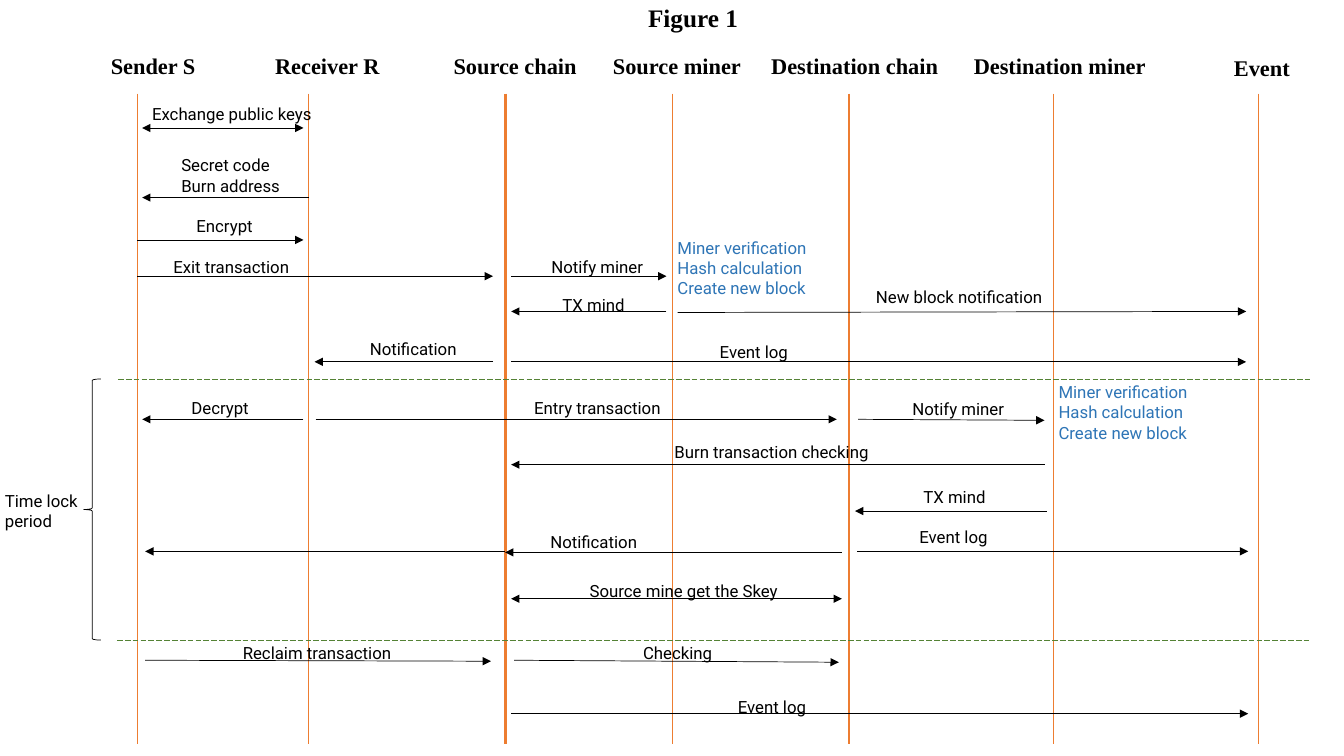
from lxml import etree
from pptx import Presentation
from pptx import util as u
from pptx.dml.color import RGBColor
from pptx.enum import dml, shapes, text
from pptx.oxml.ns import qn

PX = 9144  # EMU per px, 100 px to the inch
BLACK, BLUE, ORANGE, GREEN = "000000", "2E75B6", "ED7D31", "548235"

deck = Presentation()
deck.slide_width, deck.slide_height = 1333 * PX, 750 * PX
page = deck.slides.add_slide(deck.slide_layouts[6])


def add_line(x1, y1, x2, y2, color, weight=0.5, heads=()):
    line = page.shapes.add_connector(
        shapes.MSO_CONNECTOR.STRAIGHT, x1 * PX, y1 * PX, x2 * PX, y2 * PX)
    line.line.color.rgb = RGBColor.from_string(color)
    line.line.width = u.Pt(weight)
    for head in heads:
        etree.SubElement(line.line._get_or_add_ln(), qn(head), type="triangle")
    etree.SubElement(line._element.spPr, qn("a:effectLst"))
    return line


def add_text(lines, left, top, width, height, color=BLACK, size=12,
             font="Roboto", bold=False, wrap=True):
    box = page.shapes.add_textbox(left * PX, top * PX, width * PX, height * PX)
    frame = box.text_frame
    frame.word_wrap = wrap
    frame.auto_size = text.MSO_AUTO_SIZE.SHAPE_TO_FIT_TEXT
    frame.text = lines
    for para in frame.paragraphs:
        para.font.name, para.font.size, para.font.bold = font, u.Pt(size), bold
        para.font.color.rgb = RGBColor.from_string(color)


# Participants: name, lifeline x, line weight, heading left, top, width
participants = [
    ("Sender S", 136, 0.5, 100, 47, 105),
    ("Receiver R", 306, 0.5, 263, 47, 125),
    ("Source chain", 501, 2, 440, 47, 144),
    ("Source miner", 667, 0.5, 598, 47, 149),
    ("Destination chain", 842, 2, 755, 47, 188),
    ("Destination miner", 1045, 0.5, 956, 47, 193),
    ("Event", 1248, 0.5, 1214, 49, 76),
]
for name, x, weight, left, top, width in participants:
    add_line(x, 93, x, 738, ORANGE, weight)
    add_text(name, left, top, width, 37, size=16, font="Times New Roman",
             bold=True, wrap=False)

# Title
add_text("Figure 1", 633, -3, 113, 40, size=18, font="Times New Roman",
         bold=True, wrap=False)

# One-way messages: start x, y, end x, y
arrows = [
    (306, 196, 141, 196), (136, 238, 301, 238), (136, 274, 489, 274),
    (507, 274, 661, 274), (672, 310, 1236, 309), (661, 309, 507, 309),
    (489, 359, 312, 359), (507, 359, 1236, 359), (301, 416, 141, 416),
    (313, 416, 830, 416), (851, 416, 1036, 417), (1036, 461, 507, 461),
    (1038, 507, 848, 507), (850, 547, 1238, 547), (835, 548, 501, 548),
    (501, 547, 144, 547), (510, 655, 832, 657), (144, 655, 487, 656),
    (507, 708, 1238, 708),
]
for ends in arrows:
    add_line(*ends, BLACK, heads=["a:tailEnd"])

# Two-way messages
for ends in [(141, 127, 301, 127), (507, 594, 835, 594)]:
    add_line(*ends, BLACK, heads=["a:headEnd", "a:tailEnd"])

# Message labels: text, left, top, width
labels = [
    ("Exchange public keys", 141, 98, 186),
    ("Secret code\nBurn address", 170, 149, 130),
    ("Encrypt", 185, 209, 86),
    ("Exit transaction", 162, 250, 151),
    ("Notify miner", 537, 250, 126),
    ("New block notification", 859, 280, 186),
    ("TX mind", 548, 287, 93),
    ("Notification", 357, 331, 115),
    ("Event log", 704, 334, 100),
    ("Decrypt", 180, 390, 100),
    ("Entry transaction", 520, 390, 147),
    ("Notify miner", 895, 391, 122),
    ("Burn transaction checking", 659, 433, 229),
    ("TX mind", 906, 478, 107),
    ("Event log", 902, 518, 99),
    ("Notification", 536, 523, 128),
    ("Source mine get the Skey", 575, 571, 249),
    ("Checking", 628, 633, 94),
    ("Reclaim transaction", 231, 633, 204),
    ("Event log", 722, 686, 94),
]
for label, left, top, width in labels:
    add_text(label, left, top, width, 30 + 20 * label.count("\n"))

# Miner work notes
for left, top in [(662, 231), (1040, 374)]:
    add_text("Miner verification\nHash calculation\nCreate new block",
             left, top, 162, 71, BLUE)

# Time lock period
for left, y in [(117, 376), (116, 635)]:
    border = add_line(left, y, left + 1184, y, GREEN)
    border.line.dash_style = dml.MSO_LINE.LONG_DASH
brace = page.shapes.add_shape(
    shapes.MSO_SHAPE.LEFT_BRACE, 83 * PX, 376 * PX, 17 * PX, 259 * PX)
brace.shadow.inherit = False
brace.fill.background()
brace.line.color.rgb = RGBColor.from_string(BLACK)
brace.line.width = u.Pt(0.5)
add_text("Time lock\nperiod", -5, 482, 98, 50, wrap=False)

deck.save("out.pptx")
